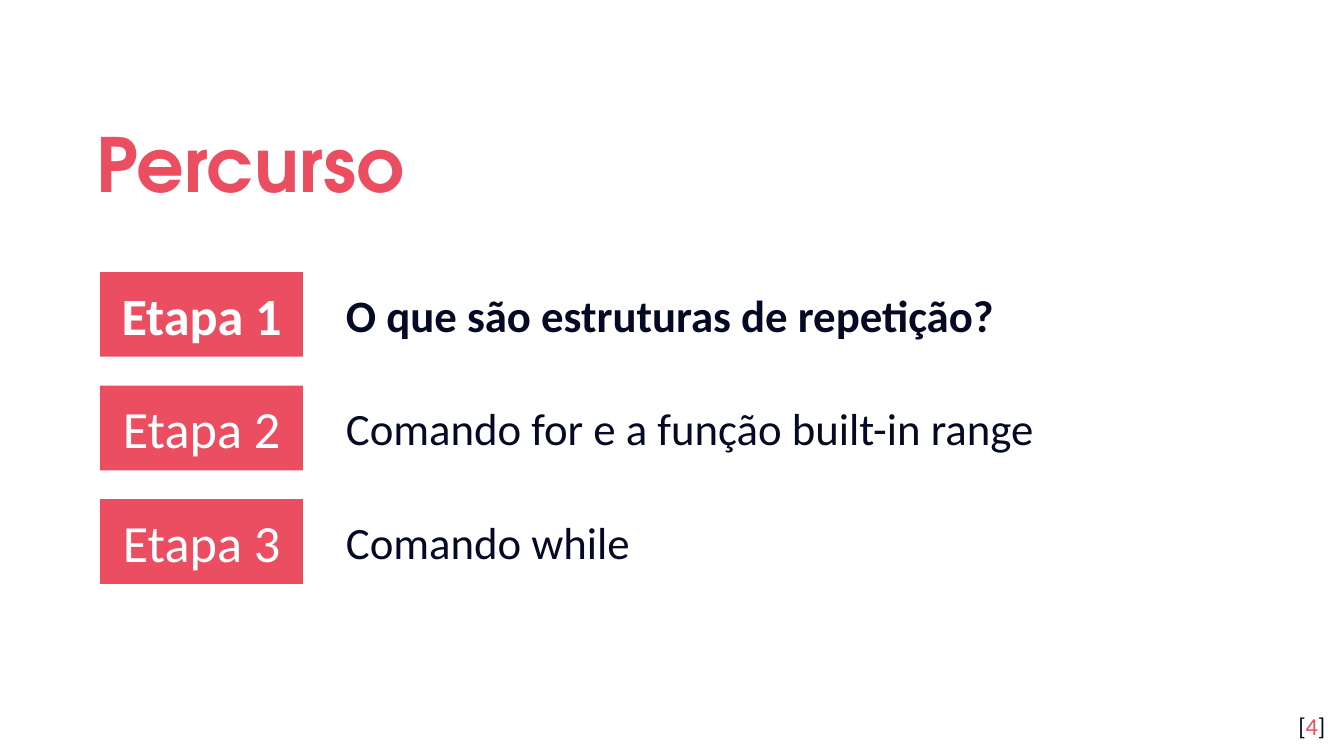
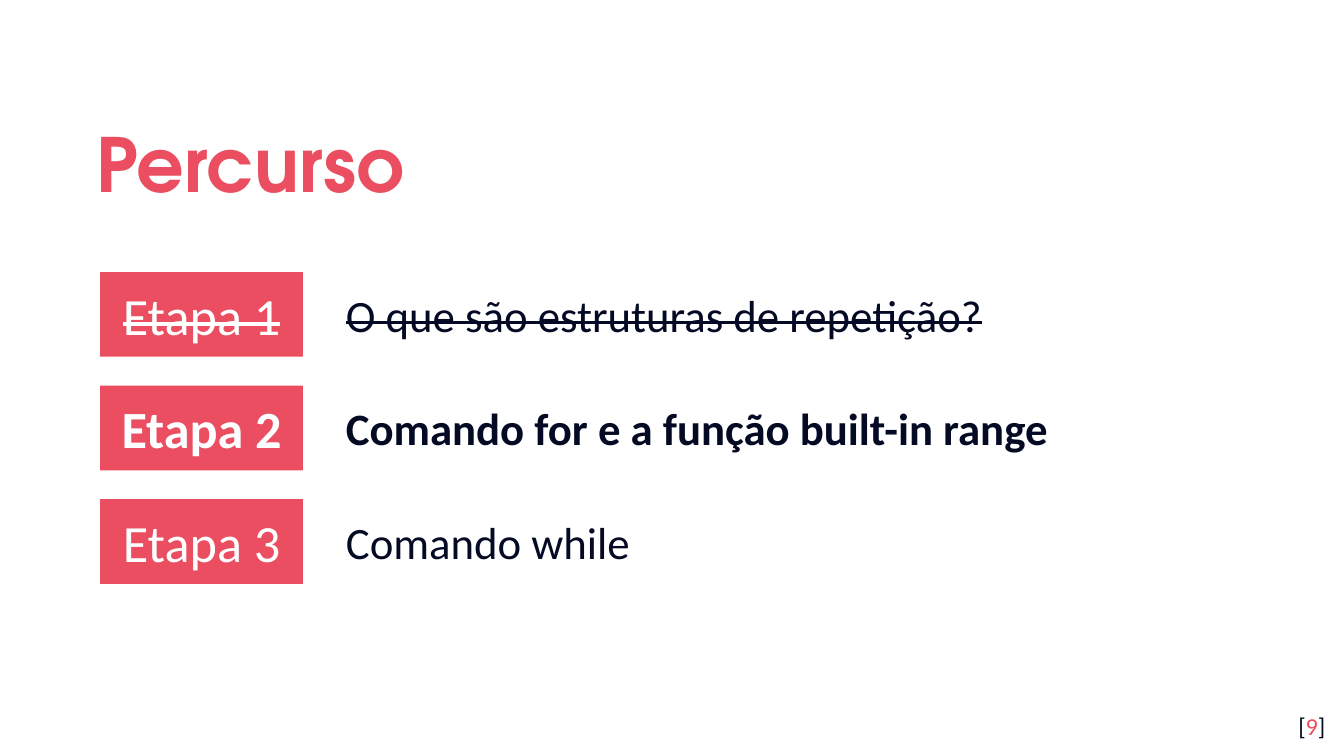
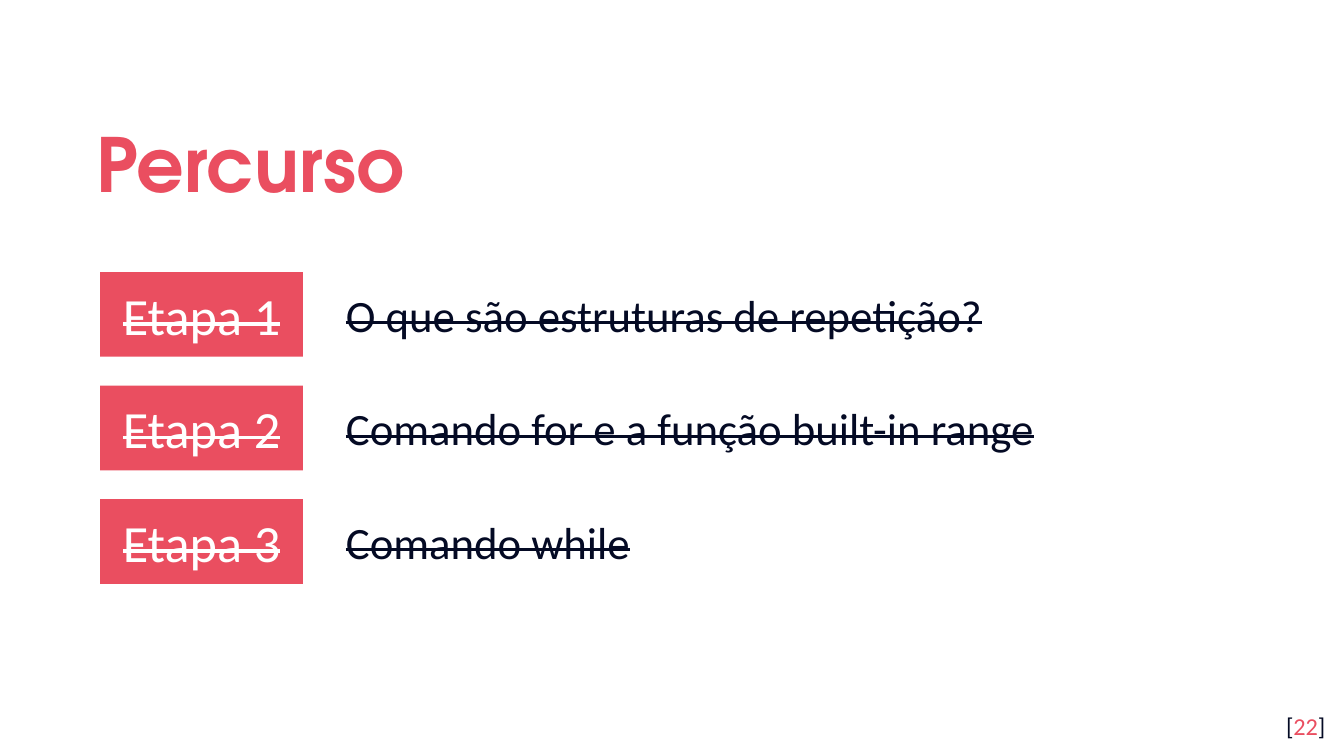
from pptx import Presentation
from pptx.dml.color import RGBColor
from pptx.enum import shapes, text
from pptx.util import Pt

PX = 4572
RED = RGBColor(0xEA, 0x4E, 0x60)
NAVY = RGBColor(0x04, 0x0A, 0x24)
WHITE = RGBColor(0xFF, 0xFF, 0xFF)
TOP, MID = text.MSO_ANCHOR.TOP, text.MSO_ANCHOR.MIDDLE
LEFT, MIDDLE, RIGHT = text.PP_ALIGN.LEFT, text.PP_ALIGN.CENTER, text.PP_ALIGN.RIGHT

TITLE = {"size": Pt(40), "name": "TeX Gyre Adventor", "bold": True}
LABEL = {"size": Pt(28), "name": "Calibri"}
TOPIC = {"size": Pt(24), "name": "Calibri"}
FOOT = {"size": Pt(13), "name": "Calibri"}

STEPS = [
    "O que são estruturas de repetição?",
    "Comando for e a função built-in range",
    "Comando while",
]
PAGES = [(4, 0), (9, 1), (22, 3)]


def box(slide, left, top, width, height):
    return slide.shapes.add_textbox(left * PX, top * PX, width * PX, height * PX)


def write(shape, runs, style, align=LEFT, anchor=TOP, pad=20, strike=False):
    frame = shape.text_frame
    form = {
        "word_wrap": True,
        "vertical_anchor": anchor,
        "margin_left": 20 * PX,
        "margin_right": 20 * PX,
        "margin_top": pad * PX,
        "margin_bottom": pad * PX,
    }
    for key, value in form.items():
        setattr(frame, key, value)
    para = frame.paragraphs[0]
    para.alignment = align
    for words, color in runs:
        run = para.add_run()
        run.text = words
        for key, value in style.items():
            setattr(run.font, key, value)
        run.font.color.rgb = color
        if strike:
            run._r.get_or_add_rPr().set("strike", "sngStrike")
    return para


deck = Presentation()
deck.slide_width, deck.slide_height = 2000 * PX, 1125 * PX

for page, now in PAGES:
    slide = deck.slides.add_slide(deck.slide_layouts[6])
    slide.background.fill.solid()
    slide.background.fill.fore_color.rgb = WHITE

    title = write(box(slide, 124, 140, 1620, 184), [("Percurso", RED)], TITLE, anchor=MID)
    title.line_spacing = 1.15

    for i, topic in enumerate(STEPS):
        top = 405 + 169 * i
        bold, done = {"bold": i == now}, i < now

        tag = slide.shapes.add_shape(
            shapes.MSO_SHAPE.RECTANGLE, 149 * PX, top * PX, 302 * PX, 126 * PX
        )
        tag.shadow.inherit = False
        tag.fill.solid()
        tag.fill.fore_color.rgb = RED
        tag.line.fill.background()
        label = write(
            tag, [(f"Etapa {i + 1}", WHITE)], LABEL | bold, MIDDLE, MID, strike=done
        )
        label.level = 1
        for key in ("marL", "indent"):
            label._p.get_or_add_pPr().set(key, "0")

        line = box(slide, 495, top + 13, 1350, 100)
        write(line, [(topic, NAVY)], TOPIC | bold, pad=10, strike=done)

        if i == 0:
            foot = [("[", NAVY), (str(page), RED), ("]", NAVY)]
            write(box(slide, 1872, 1039, 120, 86), foot, FOOT, RIGHT)

deck.save("out.pptx")
